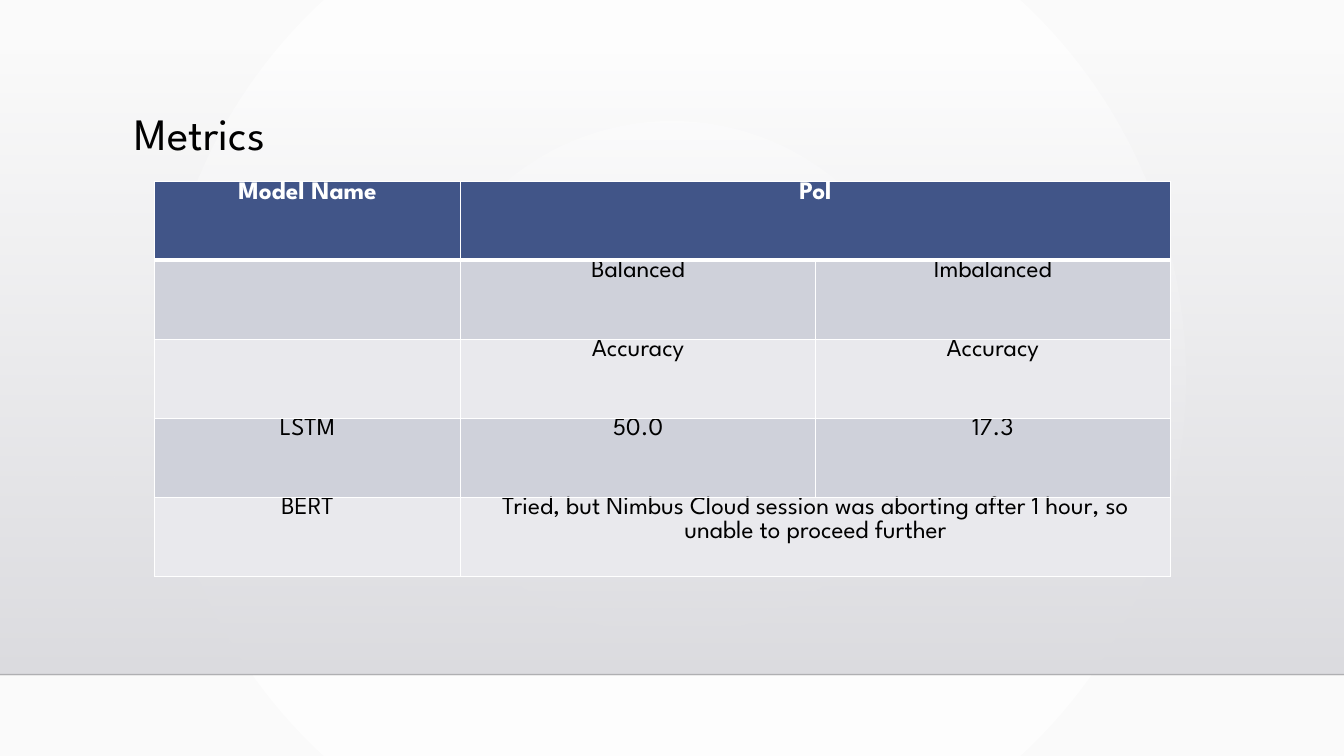
from lxml.etree import SubElement
from pptx import Presentation
from pptx.dml.color import RGBColor
from pptx.enum.shapes import MSO_CONNECTOR, MSO_SHAPE
from pptx.enum.text import MSO_ANCHOR, PP_ALIGN
from pptx.oxml import parse_xml
from pptx.oxml.ns import nsdecls, qn
from pptx.util import Cm, Pt

FONT = "League Spartan"
WHITE = RGBColor(0xFF, 0xFF, 0xFF)
PALE = RGBColor(0xFA, 0xFA, 0xFA)
MIST = RGBColor(0xDC, 0xDC, 0xE0)
HAZE = RGBColor(0xDE, 0xDE, 0xE2)
BLACK = RGBColor(0, 0, 0)
RULE = RGBColor(0, 0, 1)
NAVY = RGBColor(0x41, 0x55, 0x88)
BANDS = RGBColor(0xCF, 0xD1, 0xDA), RGBColor(0xE9, 0xE9, 0xED)

WIDE, HIGH = Cm(33.87), Cm(19.05)
FLOOR = Cm(17)
COLS = Cm(7.72), Cm(8.94), Cm(8.94)
ROW = Cm(1.99)
ROWS = [
    ("Model Name", "Pol", None),
    ("", "Balanced", "Imbalanced"),
    ("", "Accuracy", "Accuracy"),
    ("LSTM", "50.0", "17.3"),
    ("BERT", "Tried, but Nimbus Cloud session was aborting after 1 hour, "
             "so unable to proceed further", None),
]


def add_run(para, text, size, color, bold=False):
    run = para.add_run()
    run.text = text
    font = run.font
    font.name, font.size, font.bold = FONT, Pt(size), bold
    font.color.rgb = color


def set_alpha(node, share):
    SubElement(node, qn("a:alpha")).set("val", str(share * 1000))


def blend(fill, first, last):
    fill.gradient()
    for stop, color, place in zip(fill.gradient_stops, (first, last), (0, 1)):
        stop.color.rgb = color
        stop.position = place


def paint_back(slide):
    blend(slide.background.fill, WHITE, PALE)
    grad = next(slide.element.iter(qn("a:gradFill")))
    grad.replace(grad.find(qn("a:lin")), parse_xml(
        f'<a:path {nsdecls("a")} path="circle">'
        '<a:fillToRect l="50000" t="50000" r="50000" b="50000"/></a:path>'))


def add_fade(slide):
    top = Cm(1.3)
    shape = slide.shapes.add_shape(
        MSO_SHAPE.RECTANGLE, 0, top, WIDE, FLOOR - top)
    shape.shadow.inherit = False
    shape.line.fill.background()
    blend(shape.fill, MIST, HAZE)
    shape.fill.gradient_angle = 270
    set_alpha(next(shape.element.spPr.iter(qn("a:srgbClr"))), 0)


def add_rule(slide):
    rule = slide.shapes.add_connector(
        MSO_CONNECTOR.STRAIGHT, 0, FLOOR, WIDE, FLOOR)
    rule.line.width = Pt(1)
    rule.line.color.rgb = RULE
    props = rule.element.spPr
    set_alpha(next(props.iter(qn("a:srgbClr"))), 20)
    SubElement(props, qn("a:effectLst"))


def add_title(slide, text):
    box = slide.shapes.add_textbox(Cm(3.15), Cm(2.64), Cm(26.67), Cm(1.55))
    frame = box.text_frame
    frame.word_wrap = True
    frame.vertical_anchor = MSO_ANCHOR.MIDDLE
    para = frame.paragraphs[0]
    para.line_spacing = 0.9
    add_run(para, text, 32, BLACK)


def add_edges(cell, row):
    props = cell._tc.get_or_add_tcPr()
    thick = {0: "B", 1: "T"}.get(row)
    for spot, side in enumerate("LRTB"):
        width = Pt(3 if side == thick else 1)
        props.insert(spot, parse_xml(
            f'<a:ln{side} {nsdecls("a")} w="{width}"><a:solidFill>'
            f'<a:srgbClr val="{WHITE}"/></a:solidFill></a:ln{side}>'))


def fill_cell(cell, text, row):
    head = row == 0
    cell.fill.solid()
    cell.fill.fore_color.rgb = NAVY if head else BANDS[(row - 1) % 2]
    cell.margin_top = cell.margin_bottom = 0
    cell.margin_left = cell.margin_right = Cm(0.19)
    add_edges(cell, row)
    if text:
        para = cell.text_frame.paragraphs[0]
        para.alignment = PP_ALIGN.CENTER
        add_run(para, text, 18, WHITE if head else BLACK, head)


def add_grid(slide):
    frame = slide.shapes.add_table(
        len(ROWS), len(COLS), Cm(3.89), Cm(4.57), sum(COLS), ROW * len(ROWS))
    table = frame.table
    for col, width in zip(table.columns, COLS):
        col.width = width
    for row, texts in enumerate(ROWS):
        table.rows[row].height = ROW
        for col, text in enumerate(texts):
            fill_cell(table.cell(row, col), text, row)
        if texts[-1] is None:
            table.cell(row, 1).merge(table.cell(row, 2))


def main():
    deck = Presentation()
    deck.slide_width, deck.slide_height = WIDE, HIGH
    slide = deck.slides.add_slide(deck.slide_layouts[6])
    paint_back(slide)
    add_fade(slide)
    add_rule(slide)
    add_title(slide, "Metrics")
    add_grid(slide)
    deck.save("out.pptx")


main()
